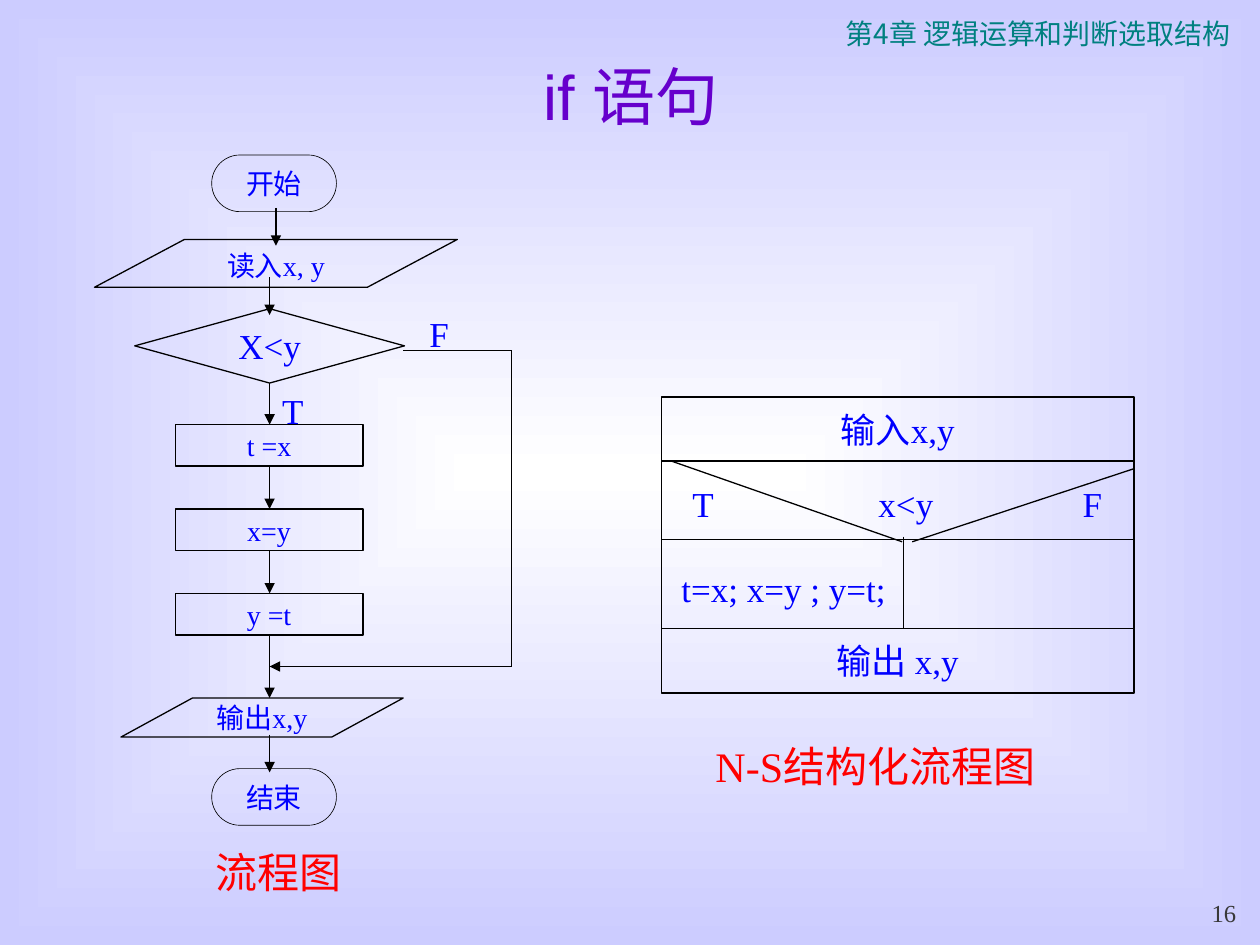
import pptx
import pptx.util
import pptx.dml.color
import pptx.enum.shapes
import pptx.enum.text
import pptx.oxml
import pptx.oxml.ns
import lxml.etree

Inches = pptx.util.Inches
Pt = pptx.util.Pt
RGBColor = pptx.dml.color.RGBColor
SHAPE = pptx.enum.shapes.MSO_SHAPE
ALIGN = pptx.enum.text.PP_ALIGN
ANCHOR = pptx.enum.text.MSO_ANCHOR
qn = pptx.oxml.ns.qn

WHITE = RGBColor(0xFF, 0xFF, 0xFF)
LAVENDER = RGBColor(0xCC, 0xCC, 0xFF)
BLACK = RGBColor(0x00, 0x00, 0x00)
BLUE = RGBColor(0x00, 0x00, 0xFF)
RED = RGBColor(0xFF, 0x00, 0x00)
TEAL = RGBColor(0x00, 0x80, 0x80)
PURPLE = RGBColor(0x66, 0x00, 0xCC)
GRAY = RGBColor(0x39, 0x39, 0x39)
SERIF = "Times New Roman"

deck = pptx.Presentation()
deck.slide_width = Inches(10)
deck.slide_height = Inches(7.5)
slide = deck.slides.add_slide(deck.slide_layouts[6])

backdrop = slide.background.fill
backdrop.gradient()
for stop, color in zip(backdrop.gradient_stops, (WHITE, LAVENDER)):
    stop.color.rgb = color
for position, stop in enumerate(backdrop.gradient_stops):
    stop.position = position
gradient = slide.background._cSld.find(".//" + qn("a:gradFill"))
direction = gradient.find(qn("a:lin"))
center = lxml.etree.Element(qn("a:path"), path="rect")
lxml.etree.SubElement(center, qn("a:fillToRect"), l="50000", t="50000", r="50000", b="50000")
gradient.replace(direction, center)


def write(holder, text, size, color=BLUE, font=SERIF, align=ALIGN.CENTER,
          anchor=ANCHOR.MIDDLE, wrap=True):
    frame = holder.text_frame
    frame.word_wrap = wrap
    frame.vertical_anchor = anchor
    paragraph = frame.paragraphs[0]
    paragraph.text = text
    paragraph.alignment = align
    paragraph.font.size = Pt(size)
    paragraph.font.name = font
    paragraph.font.color.rgb = color


def draw_line(x1, y1, x2, y2, arrow=False):
    line = slide.shapes.add_connector(
        pptx.enum.shapes.MSO_CONNECTOR.STRAIGHT,
        Inches(x1), Inches(y1), Inches(x2), Inches(y2))
    line.line.color.rgb = BLACK
    line.line.width = Pt(0.75)
    if arrow:
        outline = line.line._get_or_add_ln()
        lxml.etree.SubElement(outline, qn("a:tailEnd"), type="triangle")
    lxml.etree.SubElement(line._element.spPr, qn("a:effectLst"))


boxes = [
    (SHAPE.ROUNDED_RECTANGLE, 0.5, 1.68, 1.23, 0.99, 0.45, "开始", 16),
    (SHAPE.PARALLELOGRAM, 1.88, 0.75, 1.9, 2.88, 0.38, "读入x, y", 16),
    (SHAPE.FLOWCHART_DECISION, None, 1.07, 2.45, 2.14, 0.59, "X<y", 20),
    (SHAPE.PARALLELOGRAM, 1.83, 0.96, 5.54, 2.24, 0.31, "输出x,y", 16),
    (SHAPE.ROUNDED_RECTANGLE, 0.5, 1.68, 6.1, 0.99, 0.45, "结束", 16),
    (SHAPE.RECTANGLE, None, 5.25, 3.66, 3.75, 1.33, "", 20),
    (SHAPE.RECTANGLE, None, 5.25, 3.15, 3.75, 0.51, "输入x,y", 20),
    (SHAPE.RECTANGLE, None, 5.25, 4.99, 3.75, 0.51, "输出 x,y", 20),
]
for step, assignment in enumerate(("t =x", "x=y", "y =t")):
    boxes.append((SHAPE.RECTANGLE, None, 1.39, 3.37 + 0.67 * step, 1.49, 0.33, assignment, 16))

for kind, bend, left, top, width, height, text, size in boxes:
    box = slide.shapes.add_shape(kind, Inches(left), Inches(top), Inches(width), Inches(height))
    box.shadow.inherit = False
    box.fill.background()
    box.line.color.rgb = BLACK
    box.line.width = Pt(0.37 if kind == SHAPE.ROUNDED_RECTANGLE else 0.75)
    if bend is not None:
        box.adjustments[0] = bend
    if text:
        slanted = kind == SHAPE.PARALLELOGRAM
        write(box, text, size, wrap=slanted,
              anchor=ANCHOR.TOP if text == "读入x, y" else ANCHOR.MIDDLE)
        if slanted:
            frame = box.text_frame
            frame.margin_left = frame.margin_right = 0
            frame.margin_top = frame.margin_bottom = 0

draw_line(2.19, 1.65, 2.19, 1.95, arrow=True)
for start, end in ((2.2, 2.5), (3.04, 3.37), (3.7, 4.04), (4.37, 4.71), (5.04, 5.54), (5.83, 6.13)):
    draw_line(2.14, start, 2.14, end, arrow=True)
draw_line(3.2, 2.78, 4.06, 2.78)
draw_line(4.06, 2.78, 4.06, 5.29)
draw_line(4.06, 5.29, 2.14, 5.29, arrow=True)

draw_line(5.25, 4.28, 9, 4.28)
draw_line(5.33, 3.66, 7.16, 4.3)
draw_line(9, 3.72, 7.24, 4.3)
draw_line(7.17, 4.26, 7.17, 4.99)

labels = [
    (6.57, 0.08, 3.34, 0.64, "第4章 逻辑运算和判断选取结构", 16, TEAL, "Noto Sans CJK JP", ALIGN.CENTER, ANCHOR.TOP),
    (0.17, 0.42, 9.67, 0.67, "if 语句", 36, PURPLE, "Arial", ALIGN.CENTER, ANCHOR.MIDDLE),
    (3.31, 2.43, 0.85, 0.44, "F", 20, BLUE, SERIF, ALIGN.LEFT, ANCHOR.TOP),
    (2.14, 3.04, 0.53, 0.44, "T", 20, BLUE, SERIF, ALIGN.LEFT, ANCHOR.TOP),
    (5.33, 3.78, 0.5, 0.44, "T", 20, BLUE, SERIF, ALIGN.CENTER, ANCHOR.MIDDLE),
    (6.69, 3.78, 1, 0.44, "x<y", 20, BLUE, SERIF, ALIGN.CENTER, ANCHOR.MIDDLE),
    (8.42, 3.78, 0.5, 0.44, "F", 20, BLUE, SERIF, ALIGN.CENTER, ANCHOR.MIDDLE),
    (5.31, 4.45, 1.86, 0.44, "t=x; x=y ; y=t;", 20, BLUE, SERIF, ALIGN.LEFT, ANCHOR.MIDDLE),
    (5.58, 5.83, 3.08, 0.5, "N-S结构化流程图", 24, RED, SERIF, ALIGN.LEFT, ANCHOR.TOP),
    (1.61, 6.67, 1.42, 0.5, "流程图", 24, RED, SERIF, ALIGN.LEFT, ANCHOR.TOP),
    (9.33, 7.08, 0.58, 0.33, "16", 14, GRAY, SERIF, ALIGN.RIGHT, ANCHOR.BOTTOM),
]
for left, top, width, height, text, size, color, font, align, anchor in labels:
    label = slide.shapes.add_textbox(Inches(left), Inches(top), Inches(width), Inches(height))
    write(label, text, size, color, font, align, anchor, wrap=text != "t=x; x=y ; y=t;")

deck.save("out.pptx")
